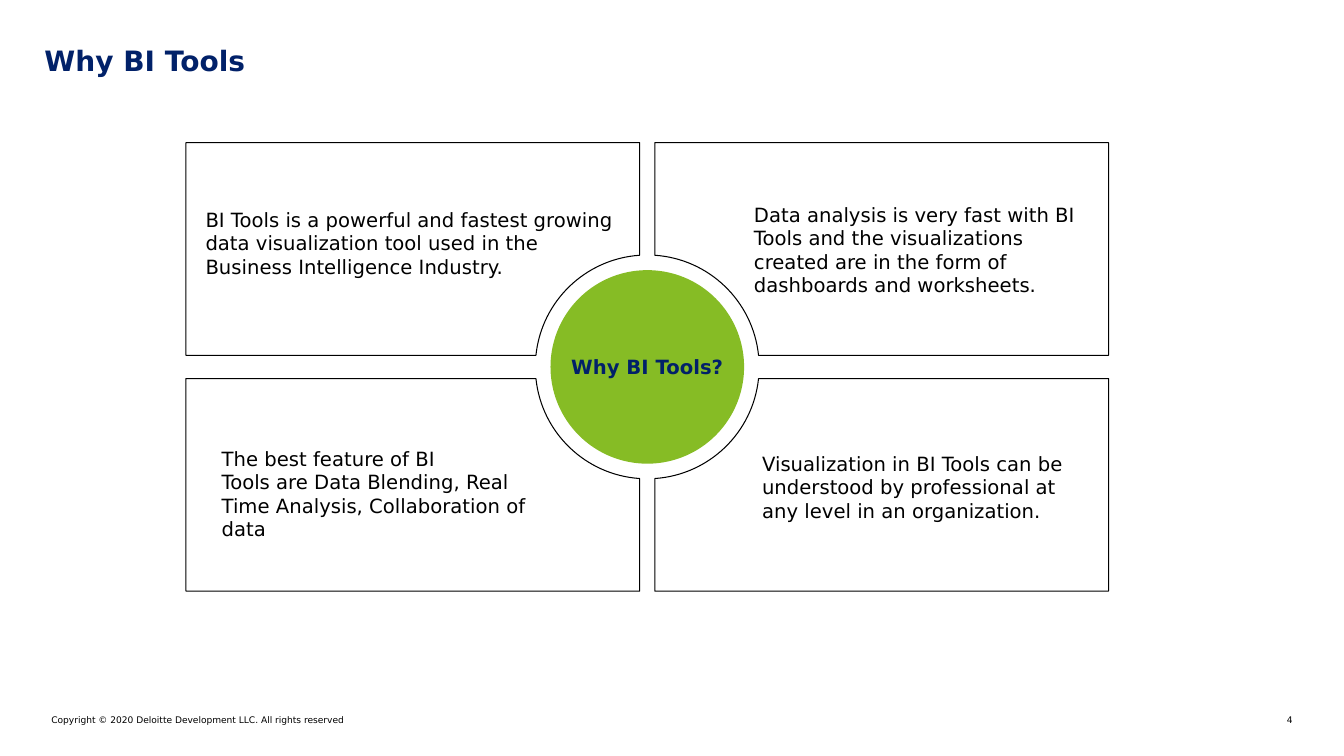
"""Build the "Why BI Tools" slide: four cards around a central circle."""
import math
from dataclasses import dataclass

from lxml import etree
from pptx import Presentation
from pptx import util as u
from pptx.dml import color
from pptx.enum import shapes, text
from pptx.oxml import ns
from pptx.shapes.autoshape import Shape
from pptx.slide import Slide

COLORS = {"navy": "012169", "green": "86BC25", "black": "000000", "white": "FFFFFF"}
FONT = "DejaVu Sans"
HARD_SPACE = chr(160)

CENTER_X, CENTER_Y = 6.42, 3.64
CARD_WIDTH, CARD_HEIGHT = 4.5, 2.11
GAP_X, GAP_Y = 0.15, 0.23
NOTCH_RADIUS, HUB_RADIUS = 1.11, 0.96


@dataclass(frozen=True)
class Label:
    """A text box with its place and format."""

    words: str
    left: float
    top: float
    width: float
    height: float
    size: float = 14
    hue: str = "black"
    bold: bool = False
    margin: float = 0.1
    align: text.PP_ALIGN = text.PP_ALIGN.LEFT


@dataclass(frozen=True)
class Card:
    """A notched card: its side of the center and its label."""

    side_x: int
    side_y: int
    label: Label


CARDS = [
    Card(-1, -1, Label(
        "BI Tools is a powerful and fastest growing data visualization tool "
        "used in the Business Intelligence Industry.", 1.94, 1.96, 4.4, 0.98)),
    Card(1, -1, Label(
        "Data analysis is very fast with BI Tools and the visualizations "
        "created are in the form of dashboards and worksheets.", 7.38, 1.91, 3.53, 1.03)),
    Card(-1, 1, Label(
        f"The best feature of BI Tools{HARD_SPACE}are{HARD_SPACE}Data Blending, "
        "Real Time Analysis, Collaboration of data", 2.1, 4.33, 3.44, 1.32)),
    Card(1, 1, Label(
        "Visualization in BI Tools can be understood by professional at any "
        "level in an organization.", 7.46, 4.38, 3.28, 1.27)),
]

PAGE_LABELS = [
    Label("Why BI Tools", 0.44, 0.43, 12.31, 0.33, size=20, hue="navy", bold=True, margin=0),
    Label("Copyright © 2020 Deloitte Development LLC. All rights reserved",
          0.51, 7.09, 5.86, 0.11, size=6.5, margin=0),
    Label("4", 12.48, 7.09, 0.34, 0.11, size=6.5, margin=0, align=text.PP_ALIGN.RIGHT),
]


def rgb(name: str) -> color.RGBColor:
    """Look up a named colour."""
    return color.RGBColor.from_string(COLORS[name])


def write(box: Shape, words: str, *, size: float = 14, hue: str = "black",
          bold: bool = False, margin: float = 0.1, wrap: bool = True,
          align: text.PP_ALIGN = text.PP_ALIGN.LEFT,
          anchor: text.MSO_ANCHOR = text.MSO_ANCHOR.TOP) -> None:
    """Put formatted text into a shape."""
    frame = box.text_frame
    frame.word_wrap = wrap
    frame.vertical_anchor = anchor
    frame.margin_left = frame.margin_right = u.Inches(margin)
    frame.margin_top = frame.margin_bottom = u.Inches(margin)
    para = frame.paragraphs[0]
    para.alignment = align
    span = para.add_run()
    span.text = words
    span.font.name = FONT
    span.font.size = u.Pt(size)
    span.font.bold = bold
    span.font.color.rgb = rgb(hue)


def add_label(page: Slide, label: Label) -> None:
    """Draw one text box."""
    box = page.shapes.add_textbox(u.Inches(label.left), u.Inches(label.top),
                                  u.Inches(label.width), u.Inches(label.height))
    write(box, label.words, size=label.size, hue=label.hue, bold=label.bold,
          margin=label.margin, align=label.align)


def card_outline(card: Card) -> list[tuple[int, int]]:
    """List a card's corners, ending with the control points and end of its notch."""
    near_x, near_y = GAP_X / 2, GAP_Y / 2
    far_x, far_y = near_x + CARD_WIDTH, near_y + CARD_HEIGHT
    start = math.asin(near_y / NOTCH_RADIUS)
    end = math.acos(near_x / NOTCH_RADIUS)
    pull = 4 / 3 * math.tan((end - start) / 4)

    def notch_point(angle: float, along: float = 0) -> tuple[float, float]:
        """Give a point on the notch circle, moved along its tangent."""
        return (NOTCH_RADIUS * (math.cos(angle) - along * math.sin(angle)),
                NOTCH_RADIUS * (math.sin(angle) + along * math.cos(angle)))

    points = [notch_point(end), (near_x, far_y), (far_x, far_y), (far_x, near_y),
              notch_point(start), notch_point(start, pull), notch_point(end, -pull),
              notch_point(end)]
    return [(u.Inches(CENTER_X + card.side_x * x), u.Inches(CENTER_Y + card.side_y * y))
            for x, y in points]


def curve_notch(outline: Shape) -> None:
    """Join the last three line segments into one Bezier curve."""
    segments = outline._element.xpath(".//a:lnTo")[-3:]
    curve = etree.Element(ns.qn("a:cubicBezTo"))
    segments[0].addprevious(curve)
    for segment in segments:
        curve.append(segment[0])
        segment.getparent().remove(segment)


def add_card(page: Slide, card: Card) -> None:
    """Draw one notched card."""
    first, *rest = card_outline(card)
    builder = page.shapes.build_freeform(*first)
    builder.add_line_segments(rest, close=True)
    outline = builder.convert_to_shape()
    curve_notch(outline)
    outline.shadow.inherit = False
    outline.fill.solid()
    outline.fill.fore_color.rgb = rgb("white")
    outline.line.color.rgb = rgb("black")
    outline.line.width = u.Pt(0.75)


def add_hub(page: Slide) -> None:
    """Draw the central circle."""
    hub = page.shapes.add_shape(
        shapes.MSO_SHAPE.OVAL, u.Inches(CENTER_X - HUB_RADIUS),
        u.Inches(CENTER_Y - HUB_RADIUS), u.Inches(2 * HUB_RADIUS), u.Inches(2 * HUB_RADIUS))
    hub.shadow.inherit = False
    hub.fill.solid()
    hub.fill.fore_color.rgb = rgb("green")
    hub.line.fill.background()
    write(hub, "Why BI Tools?", hue="navy", bold=True, wrap=False,
          align=text.PP_ALIGN.CENTER, anchor=text.MSO_ANCHOR.MIDDLE)


def main() -> None:
    """Build and save the deck."""
    deck = Presentation()
    deck.slide_width, deck.slide_height = u.Inches(13.33), u.Inches(7.5)
    page = deck.slides.add_slide(deck.slide_layouts[6])
    for card in CARDS:
        add_card(page, card)
    for label in PAGE_LABELS + [card.label for card in CARDS]:
        add_label(page, label)
    add_hub(page)
    deck.save("out.pptx")


if __name__ == "__main__":
    main()
